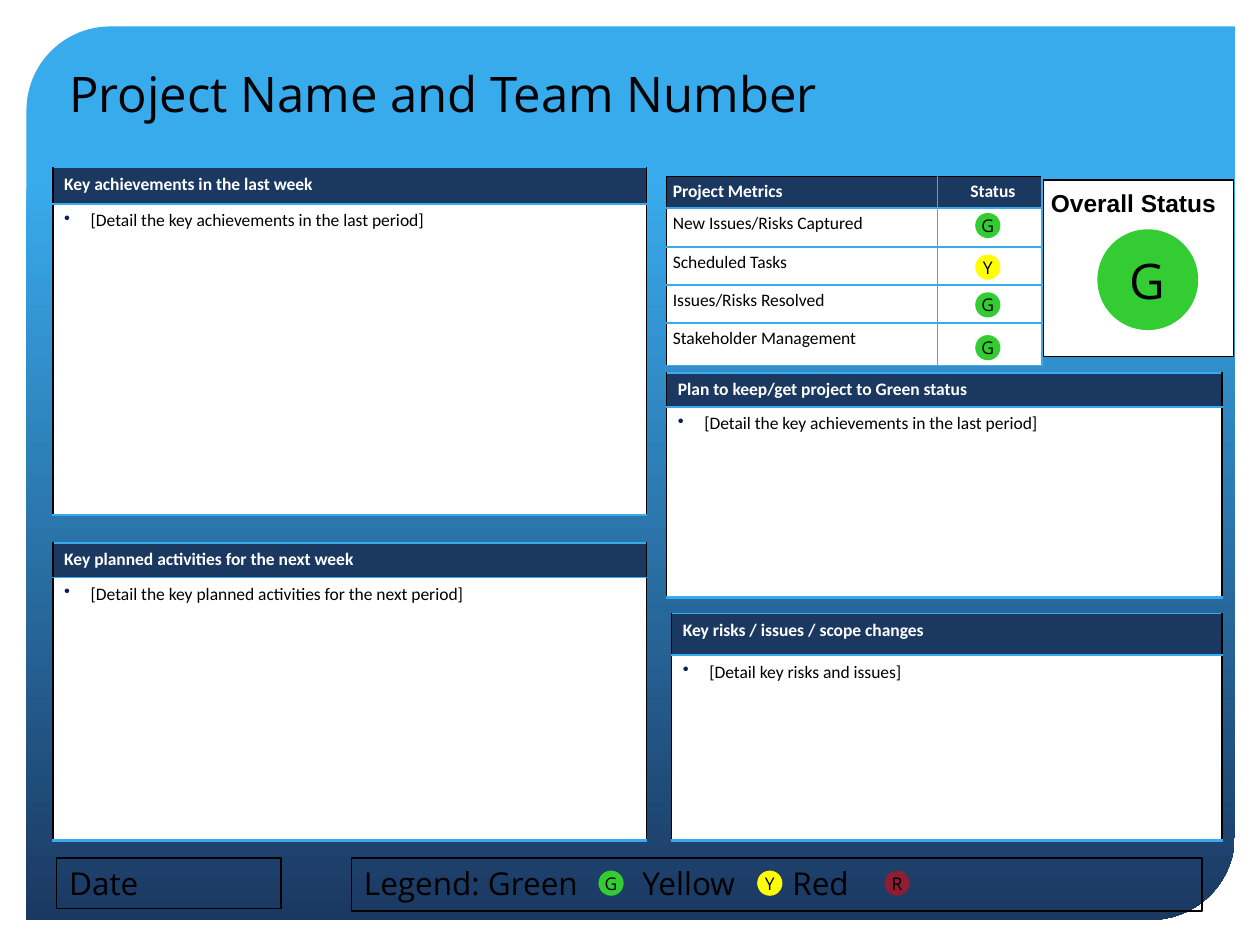
from lxml import etree
from pptx import Presentation
from pptx.dml.color import RGBColor
from pptx.enum.shapes import MSO_SHAPE
from pptx.enum.text import MSO_ANCHOR, PP_ALIGN
from pptx.oxml.ns import qn
from pptx.util import Inches, Pt

RECT, OVAL = MSO_SHAPE.RECTANGLE, MSO_SHAPE.OVAL
ROUND = MSO_SHAPE.ROUND_2_DIAG_RECTANGLE
TOP, MIDDLE = MSO_ANCHOR.TOP, MSO_ANCHOR.MIDDLE
LEFT, CENTER = PP_ALIGN.LEFT, PP_ALIGN.CENTER
BLUE, NAVY, BULLET = "38ABED", "1B3861", "0A1B5F"
BLACK, WHITE = "000000", "FFFFFF"
GREEN, YELLOW, RED = "33CC33", "FFFF00", "FF0000"


def color(value):
    """Turn a hex string into a colour."""
    return RGBColor.from_string(value)


def add(parent, tag, **attrs):
    """Append an XML child and return it."""
    return etree.SubElement(parent, qn(tag), attrs)


def write(frame, text, size=10, font="Calibri", ink=BLACK, bold=False,
          align=LEFT, anchor=TOP, pad=None, wrap=True, lead=None,
          bullet=False, tabs=()):
    """Put one formatted paragraph into a text frame."""
    frame.word_wrap = wrap
    frame.vertical_anchor = anchor
    if pad:
        (frame.margin_left, frame.margin_top, frame.margin_right,
         frame.margin_bottom) = [Inches(side) for side in pad]
    para = frame.paragraphs[0]
    para.alignment = align
    if lead:
        para.line_spacing = lead
    props = para._p.get_or_add_pPr()
    if bullet:
        props.set("marL", str(Inches(0.21)))
        props.set("indent", str(-Inches(0.21)))
        add(add(props, "a:buClr"), "a:srgbClr", val=BULLET)
        add(props, "a:buChar", char="•")
    if tabs:
        stops = add(props, "a:tabLst")
        for stop in tabs:
            add(stops, "a:tab", pos=str(Inches(stop)), algn="l")
    if not text:
        add(para._p, "a:endParaRPr", sz=str(size * 100))
        return
    run = para.add_run()
    run.text = text
    run.font.size, run.font.name, run.font.bold = Pt(size), font, bold
    run.font.color.rgb = color(ink)


def draw(slide, kind, box, fill=None, line=None):
    """Add a flat preset shape."""
    shape = slide.shapes.add_shape(kind, *[Inches(n) for n in box])
    shape.shadow.inherit = False
    if fill:
        shape.fill.solid()
        shape.fill.fore_color.rgb = color(fill)
    else:
        shape.fill.background()
    if line:
        shape.line.color.rgb = color(line)
        shape.line.width = Pt(0.75)
    else:
        shape.line.fill.background()
    return shape


def back(slide, box):
    """Place the gradient panel behind everything."""
    panel = draw(slide, ROUND, box, BLUE)
    panel.adjustments[0], panel.adjustments[1] = 0.094, 0
    panel.fill.gradient()
    panel.fill.gradient_angle = 270
    for stop, place, tone in zip(panel.fill.gradient_stops, (0.17, 1),
                                 (BLUE, NAVY)):
        stop.position = place
        stop.color.rgb = color(tone)
    slide.shapes.element.insert(2, panel._element)


def head(slide, box, text):
    """Format and place the title."""
    title = slide.shapes.title
    title.left, title.top, title.width, title.height = map(Inches, box)
    write(title.text_frame, text, size=28, font="Open Sans")


def grid(slide, left, top, cols, rows):
    """Add a plain table from column and row sizes."""
    table = slide.shapes.add_table(
        len(rows), len(cols), Inches(left), Inches(top),
        Inches(sum(cols)), Inches(sum(rows))).table
    table.first_row = table.horz_banding = False
    for col, width in zip(table.columns, cols):
        col.width = Inches(width)
    for row, height in zip(table.rows, rows):
        row.height = Inches(height)
    return table


def cell_style(cell, fill, edges, base=1):
    """Set cell borders (left, right, top, bottom) and fill."""
    props = cell._tc.get_or_add_tcPr()
    for side, tone in zip("LRTB", edges):
        width = base if side == "B" else 1
        line = add(props, "a:ln" + side, w=str(Pt(width)))
        add(add(line, "a:solidFill"), "a:srgbClr", val=tone)
    cell.fill.solid()
    cell.fill.fore_color.rgb = color(fill)


def panel(slide, left, top, width, rows, title, detail):
    """Add a headed box with one bullet."""
    table = grid(slide, left, top, [width], rows)
    edges = (BLACK, BLACK, BLUE, BLUE)
    pad = (0.09, 0.06, 0.09, 0.06)
    upper, lower = table.cell(0, 0), table.cell(1, 0)
    cell_style(upper, NAVY, edges)
    write(upper.text_frame, title, ink=WHITE, bold=True, pad=None, lead=0.9)
    cell_style(lower, WHITE, edges, 1.5)
    write(lower.text_frame, detail, lead=0.9, bullet=True)
    for cell in (upper, lower):
        (cell.margin_left, cell.margin_top, cell.margin_right,
         cell.margin_bottom) = [Inches(n) for n in pad]


def light(slide, left, top, mark, fill, size=0.2, font=10):
    """Add a round status mark."""
    dot = draw(slide, OVAL, (left, top, size, size), fill)
    if fill == RED:
        tone = dot._element.spPr.find(qn("a:solidFill"))[0]
        add(tone, "a:alpha", val="50000")
    write(dot.text_frame, mark, size=font, font="Open Sans", align=CENTER,
          anchor=MIDDLE, pad=(0, 0, 0, 0), wrap=False)


def metrics(slide, left, top):
    """Add the metrics table with its status marks."""
    names = ["Project Metrics", "New Issues/Risks Captured",
             "Scheduled Tasks", "Issues/Risks Resolved",
             "Stakeholder Management"]
    table = grid(slide, left, top, [2.15, 0.83],
                 [0.25, 0.31, 0.3, 0.3, 0.34])
    for row, name in enumerate(names):
        first = row == 0
        for col, text in enumerate((name, "Status" if first else "")):
            cell = table.cell(row, col)
            cell_style(cell, NAVY if first else WHITE,
                       (BLUE if col else BLACK, BLUE,
                        BLACK if first else BLUE, BLUE))
            cell.margin_left = cell.margin_top = Inches(0.05)
            cell.margin_right, cell.margin_bottom = 0, Inches(0.05)
            write(cell.text_frame, text, ink=WHITE if first else BLACK,
                  bold=first, align=CENTER if col else LEFT, lead=0.9)
    for drop, mark, fill in ((0.29, "G", GREEN), (0.62, "Y", YELLOW),
                             (0.92, "G", GREEN), (1.26, "G", GREEN)):
        light(slide, left + 2.45, top + drop, mark, fill)


def overall(slide, left, top):
    """Add the overall status box."""
    box = draw(slide, RECT, (left, top, 1.51, 1.4), WHITE, BLACK)
    write(box.text_frame, "Overall Status", size=14, font="Arial", bold=True,
          pad=(0.06,) * 4)
    light(slide, left + 0.43, top + 0.39, "G", GREEN, 0.8, 28)


def foot(slide, left, top):
    """Add the date box and the legend."""
    date = draw(slide, RECT, (left, top, 1.78, 0.4), line=BLACK)
    write(date.text_frame, "Date", size=18, font="Open Sans")
    key = draw(slide, RECT, (left + 2.34, top, 6.75, 0.42), line=BLACK)
    write(key.text_frame, "Legend: Green\tYellow\tRed", size=18,
          font="Open Sans", tabs=(2.21, 3.4))
    for shift, mark, fill in ((4.3, "G", GREEN), (5.56, "Y", YELLOW),
                              (6.57, "R", RED)):
        light(slide, left + shift, top + 0.1, mark, fill)


def main():
    """Build the status slide."""
    deck = Presentation()
    deck.slide_width, deck.slide_height = Inches(10), Inches(7.5)
    slide = deck.slides.add_slide(deck.slide_layouts[5])
    back(slide, (0.21, 0.21, 9.59, 7.09))
    head(slide, (0.45, 0.45, 7.14, 0.57), "Project Name and Team Number")
    metrics(slide, 5.29, 1.4)
    overall(slide, 8.28, 1.43)
    last = "[Detail the key achievements in the last period]"
    panel(slide, 0.42, 1.33, 4.71, (0.29, 2.47),
          "Key achievements in the last week", last)
    panel(slide, 0.42, 4.31, 4.71, (0.27, 2.09),
          "Key planned activities for the next week",
          "[Detail the key planned activities for the next period]")
    panel(slide, 5.29, 2.96, 4.41, (0.27, 1.51),
          "Plan to keep/get project to Green status", last)
    panel(slide, 5.33, 4.87, 4.37, (0.33, 1.47),
          "Key risks / issues / scope changes", "[Detail key risks and issues]")
    foot(slide, 0.45, 6.81)
    deck.save("out.pptx")


main()
